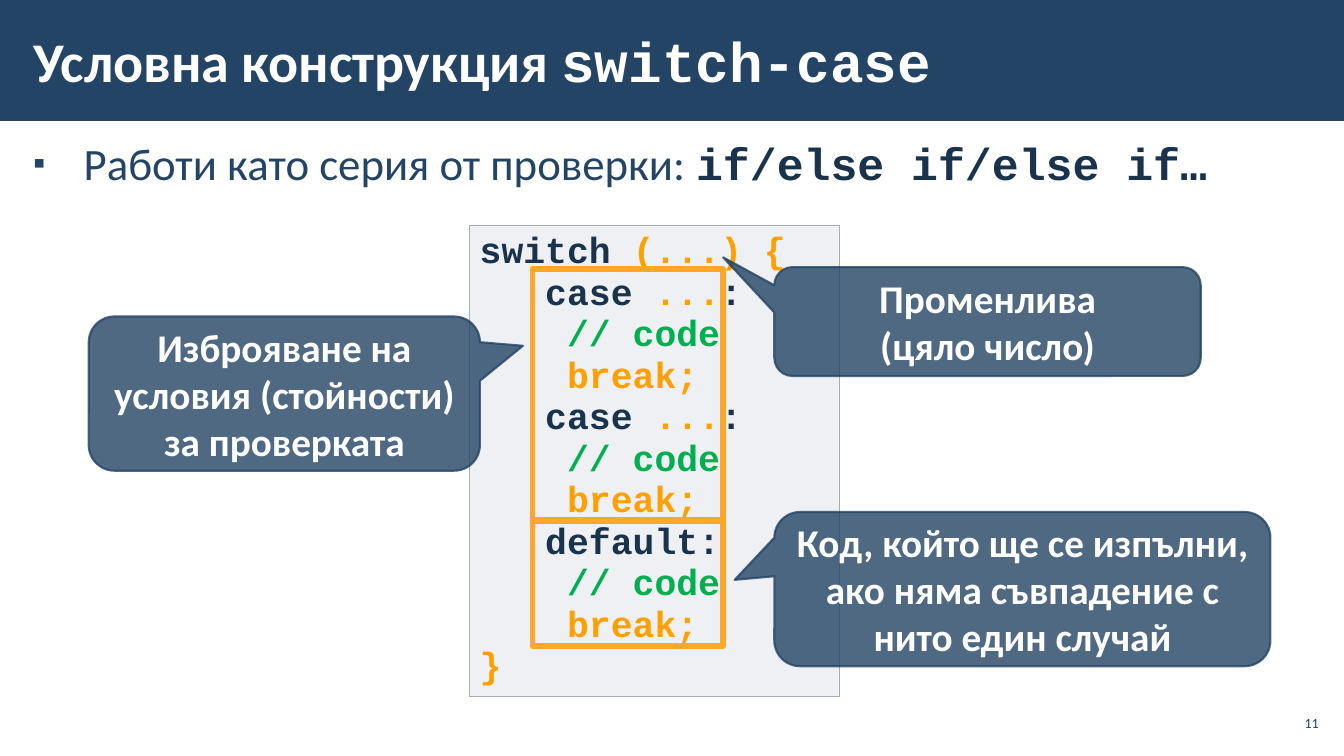
from lxml.etree import SubElement
from pptx import Presentation
from pptx.dml.color import RGBColor
from pptx.enum.shapes import MSO_SHAPE
from pptx.enum.text import MSO_ANCHOR, PP_ALIGN
from pptx.oxml.ns import qn
from pptx.util import Inches, Pt

COLORS = {
    "navy": "234465", "ink": "1A334C", "white": "FFFFFF", "orange": "FFA000",
    "green": "00B050", "frame": "FFA72A", "panel": "C2C7D2", "panel_edge": "A3ABBC",
}
SANS, MONO = "Calibri", "Courier New"

CASE = [("   case", "ink"), (" ...", "orange"), (":", "ink")]
BODY = [[("    // code", "green")], [("    break;", "orange")]]
CODE = [
    [("switch ", "ink"), ("(...) {", "orange")],
    CASE, *BODY,
    CASE, *BODY,
    [("   default:", "ink")], *BODY,
    [("}", "orange")],
]


class SlideBuilder:
    def __init__(self, deck):
        self.page = deck.slides.add_slide(deck.slide_layouts[6])

    def color(self, name):
        return RGBColor.from_string(COLORS[name])

    def fade(self, fill, percent):
        """Make a solid fill (of a shape or a line) partly transparent."""
        color = fill._xPr.find(qn("a:solidFill"))[0]
        SubElement(color, qn("a:alpha"), val=str(percent * 1000))

    def style(self, font, size, color, name=SANS, bold=False):
        font.size, font.name, font.bold = Pt(size), name, bold
        font.color.rgb = self.color(color)

    def shape(self, kind, place, fill=None, alpha=100, line=None, width=1, line_alpha=100):
        shape = self.page.shapes.add_shape(kind, *map(Inches, place))
        shape.shadow.inherit = False
        if fill:
            shape.fill.solid()
            shape.fill.fore_color.rgb = self.color(fill)
            self.fade(shape.fill, alpha)
        else:
            shape.fill.background()
        if line:
            shape.line.color.rgb = self.color(line)
            shape.line.width = Pt(width)
            self.fade(shape.line.fill, line_alpha)
        else:
            shape.line.fill.background()
        return shape

    def text(self, place, spans, size, anchor=MSO_ANCHOR.TOP, side=0.12, align=PP_ALIGN.LEFT):
        """Add a one-paragraph text box; spans are (text, font, color, bold)."""
        frame = self.page.shapes.add_textbox(*map(Inches, place)).text_frame
        frame.word_wrap = True
        frame.vertical_anchor = anchor
        frame.margin_left = frame.margin_right = Inches(side)
        frame.margin_top = frame.margin_bottom = Inches(0.04)
        para = frame.paragraphs[0]
        para.alignment = align
        for words, name, color, bold in spans:
            span = para.add_run()
            span.text = words
            self.style(span.font, size, color, name, bold)
        return para

    def bullet(self, place, spans, size):
        para = self.text(place, spans, size)
        properties = para._p.get_or_add_pPr()
        properties.set("marL", str(Inches(0.5)))
        properties.set("indent", str(Inches(-0.5)))
        SubElement(properties, qn("a:buSzPct"), val="75000")
        SubElement(properties, qn("a:buFont"), typeface=SANS)
        SubElement(properties, qn("a:buChar"), char="▪")
        self.style(para.font, size, "navy")

    def code(self, place, lines):
        box = self.shape(MSO_SHAPE.RECTANGLE, place, "panel", 25, "panel_edge")
        frame = box.text_frame
        frame.word_wrap = True
        frame.vertical_anchor = MSO_ANCHOR.TOP
        for index, line in enumerate(lines):
            para = frame.add_paragraph() if index else frame.paragraphs[0]
            para.alignment = PP_ALIGN.LEFT
            para.line_spacing = 0.95
            for words, color in line:
                span = para.add_run()
                span.text = words
                self.style(span.font, 26, color, MONO, True)

    def callout(self, place, tip, words):
        box = self.shape(MSO_SHAPE.ROUNDED_RECTANGULAR_CALLOUT, place,
                         "navy", 80, "navy", 1.5, 80)
        box.adjustments[0], box.adjustments[1] = tip
        frame = box.text_frame
        frame.word_wrap = True
        frame.vertical_anchor = MSO_ANCHOR.MIDDLE
        para = frame.paragraphs[0]
        para.text = words
        para.alignment = PP_ALIGN.CENTER
        self.style(para.font, 28, "white", bold=True)

    def frame(self, place):
        self.shape(MSO_SHAPE.RECTANGLE, place, line="frame", width=4)


def main():
    deck = Presentation()
    deck.slide_width, deck.slide_height = Inches(13.33), Inches(7.5)
    slide = SlideBuilder(deck)

    slide.shape(MSO_SHAPE.RECTANGLE, (0, 0, 13.33, 1.2), "navy")
    slide.bullet((0.21, 1.31, 12.92, 5.69), [
        ("Работи като серия от проверки: ", SANS, "navy", False),
        ("if/else if/else if…", MONO, "ink", True),
    ], 32)
    slide.text((0.21, 0.11, 10.39, 0.97), [
        ("Условна конструкция ", SANS, "white", True),
        ("switch-case", MONO, "white", True),
    ], 40, MSO_ANCHOR.MIDDLE)
    slide.text((12.65, 7, 0.47, 0.34), [("11", SANS, "navy", False)], 10,
               MSO_ANCHOR.MIDDLE, 0.04, PP_ALIGN.RIGHT)

    slide.code((4.66, 2.24, 3.67, 4.67), CODE)
    slide.callout((0.88, 3.14, 3.88, 1.53), (0.61, -0.31),
                  "Изброяване на условия (стойности) за проверката")
    slide.frame((5.28, 2.67, 1.89, 2.49))
    slide.callout((7.68, 5.08, 4.92, 1.53), (-0.58, -0.06),
                  "Код, който ще се изпълни, ако няма съвпадение с нито един случай")
    slide.frame((5.28, 5.17, 1.89, 1.24))
    slide.callout((7.68, 2.65, 4.23, 1.08), (-0.62, -0.59), "Променлива\n(цяло число)")

    deck.save("out.pptx")


if __name__ == "__main__":
    main()
